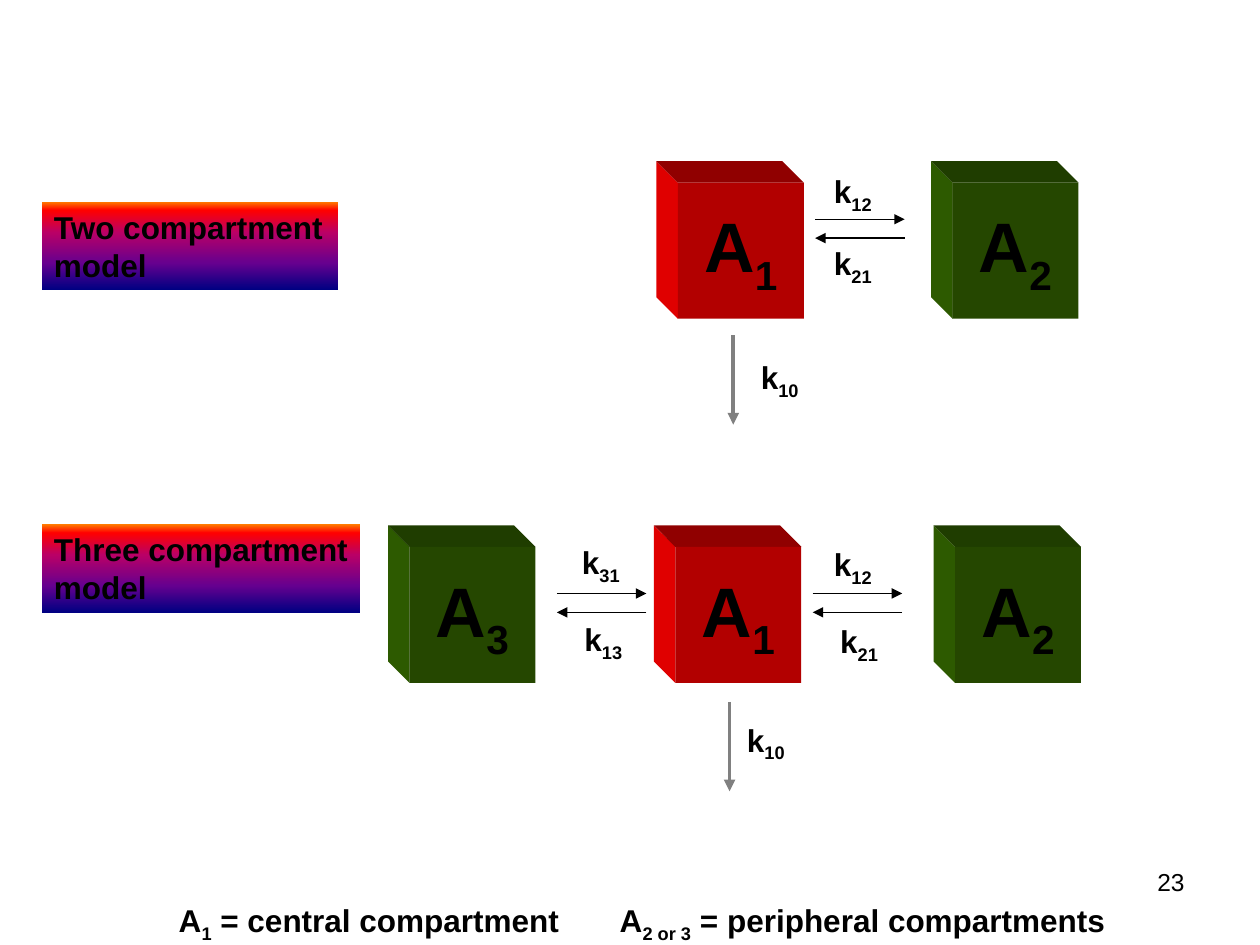
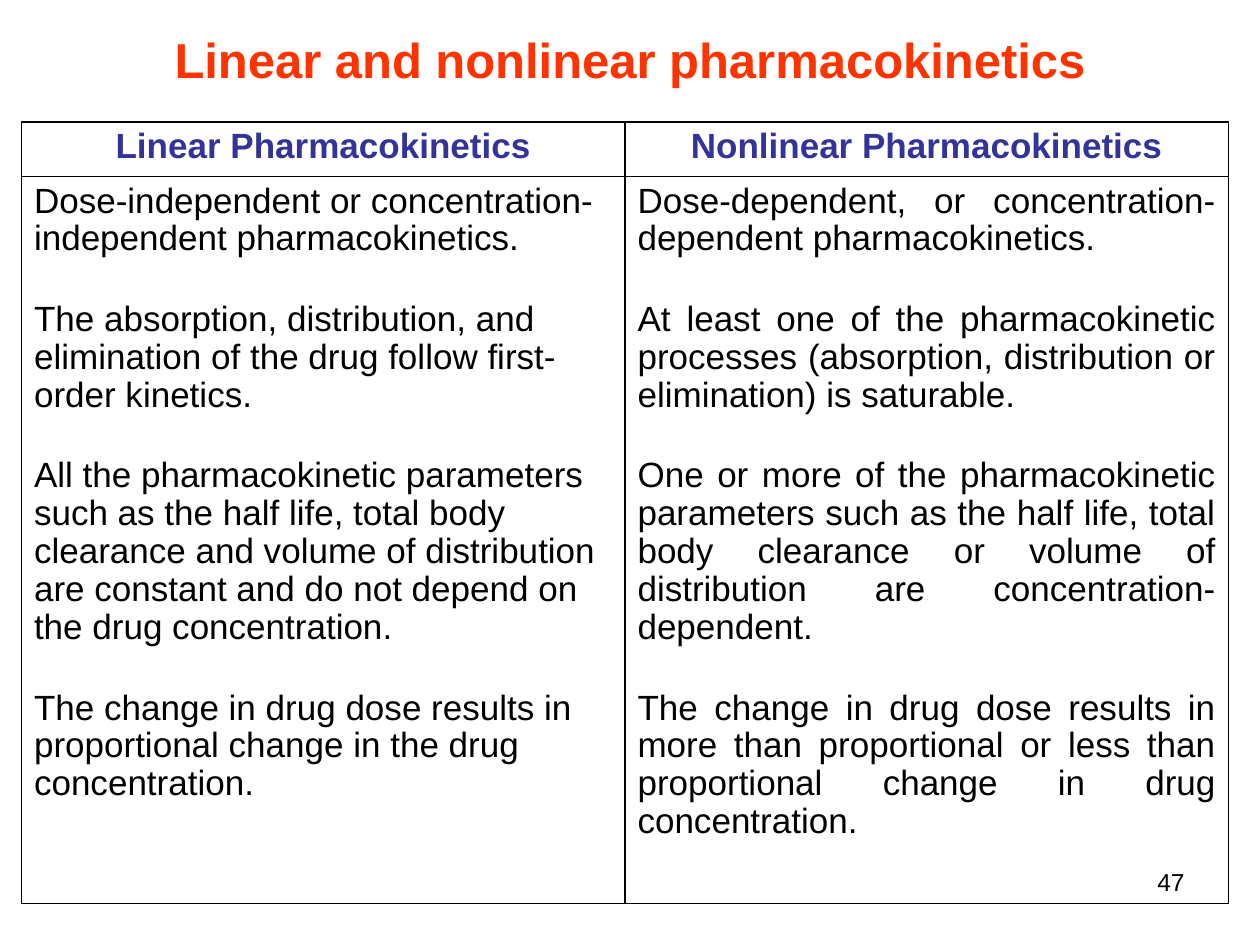
from lxml.etree import SubElement
from pptx import Presentation
from pptx.dml.color import RGBColor
from pptx.enum.shapes import MSO_CONNECTOR as CONN, MSO_SHAPE as SHAPE
from pptx.enum.text import MSO_ANCHOR as ANCHOR, PP_ALIGN as ALIGN
from pptx.oxml.ns import qn
from pptx.util import Inches, Pt

FONT = "Arial"
BLACK, GREY = "000000", "808080"
TITLE_RED, HEADING_BLUE = "FF3300", "333399"
# Cube faces: front, left side, top
RED_CUBE = ("B20000", "E00000", "900000")
GREEN_CUBE = ("254700", "2D5A00", "1F3D00")
CUBE_W, CUBE_H, DEPTH = 1.0, 1.08, 0.17
ARROW_LEN = 0.71
LABEL_STOPS = ((0, "FF8200"), (10, "FF0000"), (35, "BA0066"),
               (70, "66008F"), (100, "000082"))

LINEAR = (
    "Dose-independent or concentration-independent pharmacokinetics.",
    "The absorption, distribution, and elimination of the drug follow "
    "first-order kinetics.",
    "All the pharmacokinetic parameters such as the half life, total body "
    "clearance and volume of distribution are constant and do not depend on "
    "the drug concentration.",
    "The change in drug dose results in proportional change in the drug "
    "concentration.",
)
NONLINEAR = (
    "Dose-dependent, or concentration-dependent pharmacokinetics.",
    "At least one of the pharmacokinetic processes (absorption, distribution "
    "or elimination) is saturable.",
    "One or more of the pharmacokinetic parameters such as the half life, "
    "total body clearance or volume of distribution are "
    "concentration-dependent.",
    "The change in drug dose results in more than proportional or less than "
    "proportional change in drug concentration.",
)


def rgb(color):
    return RGBColor.from_string(color)


def add_run(p, text, size, color=BLACK, bold=True, sub=False):
    r = p.add_run()
    r.text = text
    r.font.name, r.font.size, r.font.bold = FONT, Pt(size), bold
    r.font.color.rgb = rgb(color)
    if sub:
        r._r.get_or_add_rPr().set("baseline", "-25000")


def add_symbol(p, letter, index, size):
    add_run(p, letter, size)
    add_run(p, index, size, sub=True)


def add_text_box(slide, x, y, w, h, wrap=True):
    tf = slide.shapes.add_textbox(*map(Inches, (x, y, w, h))).text_frame
    tf.word_wrap = wrap
    return tf.paragraphs[0]


def add_page_number(slide, number):
    p = add_text_box(slide, 7.17, 6.83, 2.33, 0.52)
    p.alignment = ALIGN.RIGHT
    add_run(p, number, 14, bold=False)


def paint(sp, color):
    sp.shadow.inherit = False
    sp.fill.solid()
    sp.fill.fore_color.rgb = rgb(color)
    sp.line.fill.background()


def add_face(slide, points, color):
    pts = [(Inches(x), Inches(y)) for x, y in points]
    builder = slide.shapes.build_freeform(*pts[0])
    builder.add_line_segments(pts[1:], close=True)
    paint(builder.convert_to_shape(), color)


def add_cube(slide, x, y, index, colors):
    front, side, top = colors
    right, bottom = x + CUBE_W, y + CUBE_H
    back_x, back_y = x - DEPTH, y - DEPTH
    add_face(slide, [(x, y), (back_x, back_y), (back_x, bottom - DEPTH),
                     (x, bottom)], side)
    add_face(slide, [(x, y), (back_x, back_y), (right - DEPTH, back_y),
                     (right, y)], top)
    sp = slide.shapes.add_shape(SHAPE.RECTANGLE,
                                *map(Inches, (x, y, CUBE_W, CUBE_H)))
    paint(sp, front)
    tf = sp.text_frame
    tf.word_wrap, tf.vertical_anchor = False, ANCHOR.MIDDLE
    p = tf.paragraphs[0]
    p.alignment = ALIGN.CENTER
    add_symbol(p, "A", index, 40)


def add_arrow(slide, x1, y1, x2, y2, color=BLACK, width=0.75):
    line = slide.shapes.add_connector(CONN.STRAIGHT,
                                      *map(Inches, (x1, y1, x2, y2)))
    line.line.color.rgb = rgb(color)
    line.line.width = Pt(width)
    SubElement(line.line._get_or_add_ln(), qn("a:tailEnd"), type="triangle")
    SubElement(line._element.spPr, qn("a:effectLst"))


def add_exchange(slide, x, y):
    """Opposite arrows between two compartments."""
    add_arrow(slide, x, y, x + ARROW_LEN, y)
    add_arrow(slide, x + ARROW_LEN, y + 0.15, x, y + 0.15)


def add_elimination(slide, x, y):
    add_arrow(slide, x, y, x, y + ARROW_LEN, GREY, 2.25)


def add_rate(slide, x, y, index):
    add_symbol(add_text_box(slide, x, y, 0.52, 0.4, wrap=False), "k", index, 18)


def add_model_label(slide, y, w, lines):
    sp = slide.shapes.add_shape(SHAPE.RECTANGLE,
                                *map(Inches, (0.33, y, w, 0.7)))
    sp.shadow.inherit = False
    sp.line.fill.background()
    sp.fill.gradient()
    sp.fill.gradient_angle = 270
    stops = sp._element.spPr.find(".//" + qn("a:gsLst"))
    for stop in list(stops):
        stops.remove(stop)
    for pos, color in LABEL_STOPS:
        stop = SubElement(stops, qn("a:gs"), pos=str(pos * 1000))
        SubElement(stop, qn("a:srgbClr"), val=color)
    tf = sp.text_frame
    tf.word_wrap, tf.vertical_anchor = False, ANCHOR.TOP
    for i, text in enumerate(lines):
        p = tf.add_paragraph() if i else tf.paragraphs[0]
        p.alignment = ALIGN.LEFT
        add_run(p, text, 18)


def add_title(slide, text):
    sp = slide.shapes.title
    sp.left, sp.top, sp.width, sp.height = map(Inches, (0, 0.17, 10, 0.6))
    tf = sp.text_frame
    tf.vertical_anchor = ANCHOR.MIDDLE
    p = tf.paragraphs[0]
    p.alignment = ALIGN.CENTER
    add_run(p, text, 28, TITLE_RED)


def set_borders(cell):
    tc_pr = cell._tc.get_or_add_tcPr()
    for i, side in enumerate(("lnL", "lnR", "lnT", "lnB")):
        ln = tc_pr.makeelement(qn("a:" + side), {"w": str(Pt(1))})
        fill = SubElement(ln, qn("a:solidFill"))
        SubElement(fill, qn("a:srgbClr"), val=BLACK)
        tc_pr.insert(i, ln)


def fill_cell(cell, texts, align, color=BLACK, bold=False):
    cell.fill.background()
    set_borders(cell)
    tf = cell.text_frame
    for i, text in enumerate(texts):
        p = tf.add_paragraph() if i else tf.paragraphs[0]
        p.alignment = align
        p.line_spacing = 0.97
        if i:
            p.space_before = Pt(24.5)
        add_run(p, text, 20, color, bold)


def add_comparison(slide, columns):
    frame = slide.shapes.add_table(2, len(columns),
                                   *map(Inches, (0.17, 0.97, 9.58, 6.2)))
    table = frame.table
    table.first_row = table.horz_banding = False
    for row, height in zip(table.rows, (0.43, 5.77)):
        row.height = Inches(height)
    for c, (heading, texts, align) in enumerate(columns):
        table.columns[c].width = Inches(4.79)
        fill_cell(table.cell(0, c), [heading], ALIGN.CENTER, HEADING_BLUE, True)
        fill_cell(table.cell(1, c), texts, align)


def build_models(slide):
    add_page_number(slide, "23")

    # Compartments
    for x, y, index, colors in (
            (5.38, 1.45, "1", RED_CUBE), (7.56, 1.45, "2", GREEN_CUBE),
            (5.36, 4.34, "1", RED_CUBE), (3.25, 4.34, "3", GREEN_CUBE),
            (7.58, 4.34, "2", GREEN_CUBE)):
        add_cube(slide, x, y, index, colors)

    # Transfers and elimination
    for x, y in ((6.47, 1.74), (4.42, 4.71), (6.45, 4.71)):
        add_exchange(slide, x, y)
    for x, y in ((5.82, 2.66), (5.79, 5.57)):
        add_elimination(slide, x, y)

    # Rate constants
    for x, y, index in (
            (6.52, 1.32, "12"), (6.52, 1.89, "21"), (5.94, 2.79, "10"),
            (6.52, 4.28, "12"), (6.57, 4.89, "21"), (4.52, 4.26, "31"),
            (4.54, 4.87, "13"), (5.83, 5.67, "10")):
        add_rate(slide, x, y, index)

    # Model names and legend
    add_model_label(slide, 1.6, 2.35, ("Two compartment", "model"))
    add_model_label(slide, 4.16, 2.53, ("Three compartment", "model"))
    p = add_text_box(slide, 1.32, 7.1, 8.11, 0.4)
    add_symbol(p, "A", "1", 18)
    add_run(p, " = central compartment\t", 18)
    add_symbol(p, "A", "2 or 3", 18)
    add_run(p, " = peripheral compartments", 18)


def build_kinetics(slide):
    add_page_number(slide, "47")
    add_title(slide, "Linear and nonlinear pharmacokinetics")
    add_comparison(slide, (
        ("Linear Pharmacokinetics", LINEAR, ALIGN.LEFT),
        ("Nonlinear Pharmacokinetics", NONLINEAR, ALIGN.JUSTIFY)))


def main():
    prs = Presentation()
    prs.slide_width, prs.slide_height = Inches(10), Inches(7.5)
    title_only, blank = prs.slide_layouts[5], prs.slide_layouts[6]
    build_models(prs.slides.add_slide(blank))
    build_kinetics(prs.slides.add_slide(title_only))
    prs.save("out.pptx")


if __name__ == "__main__":
    main()
